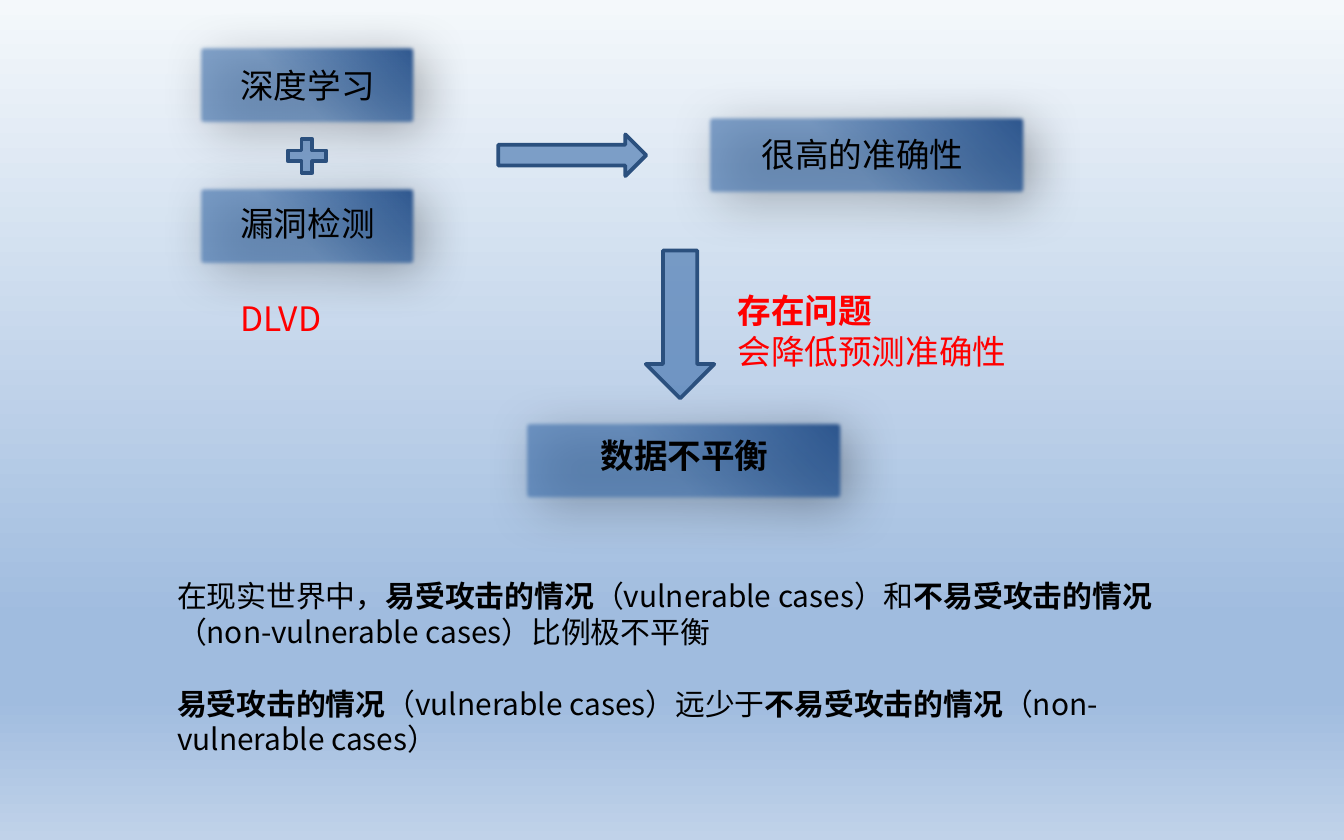
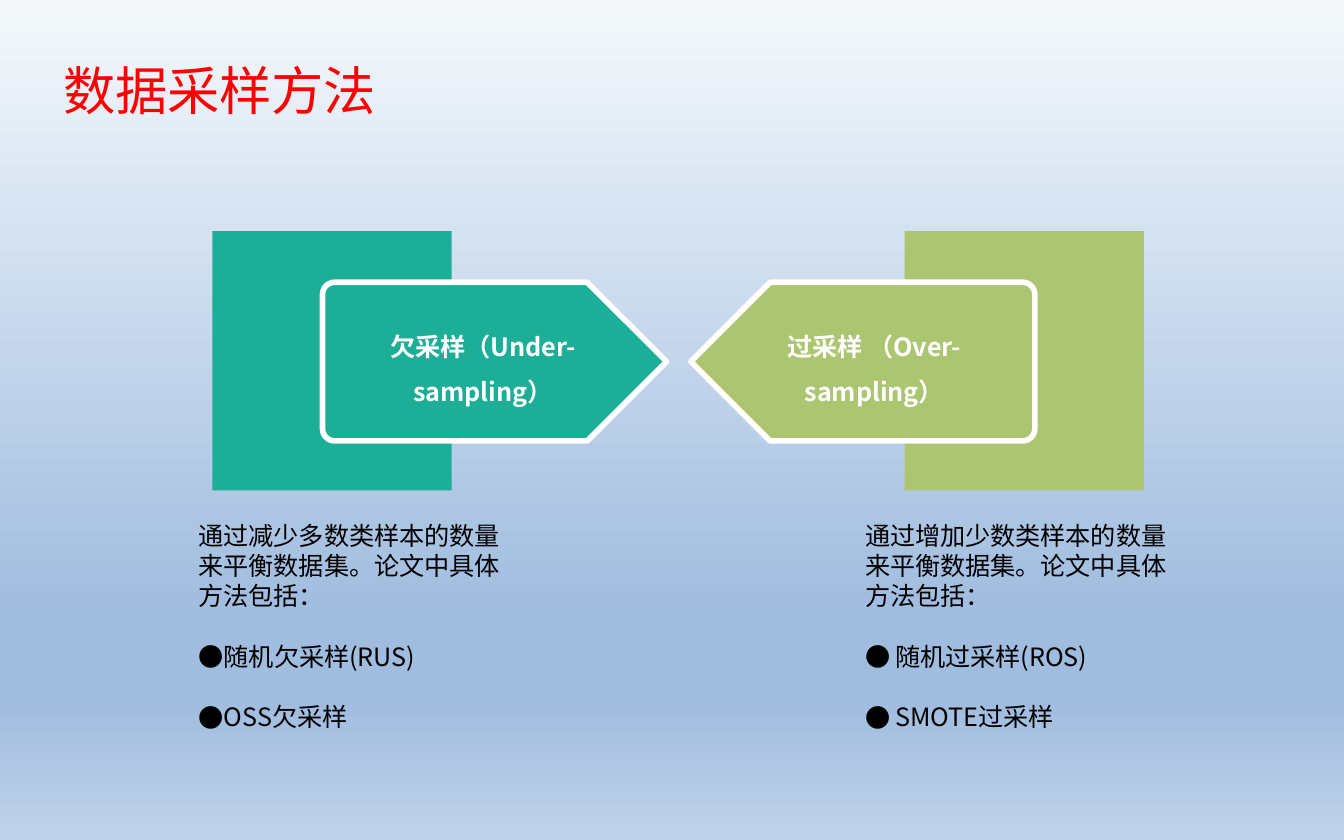
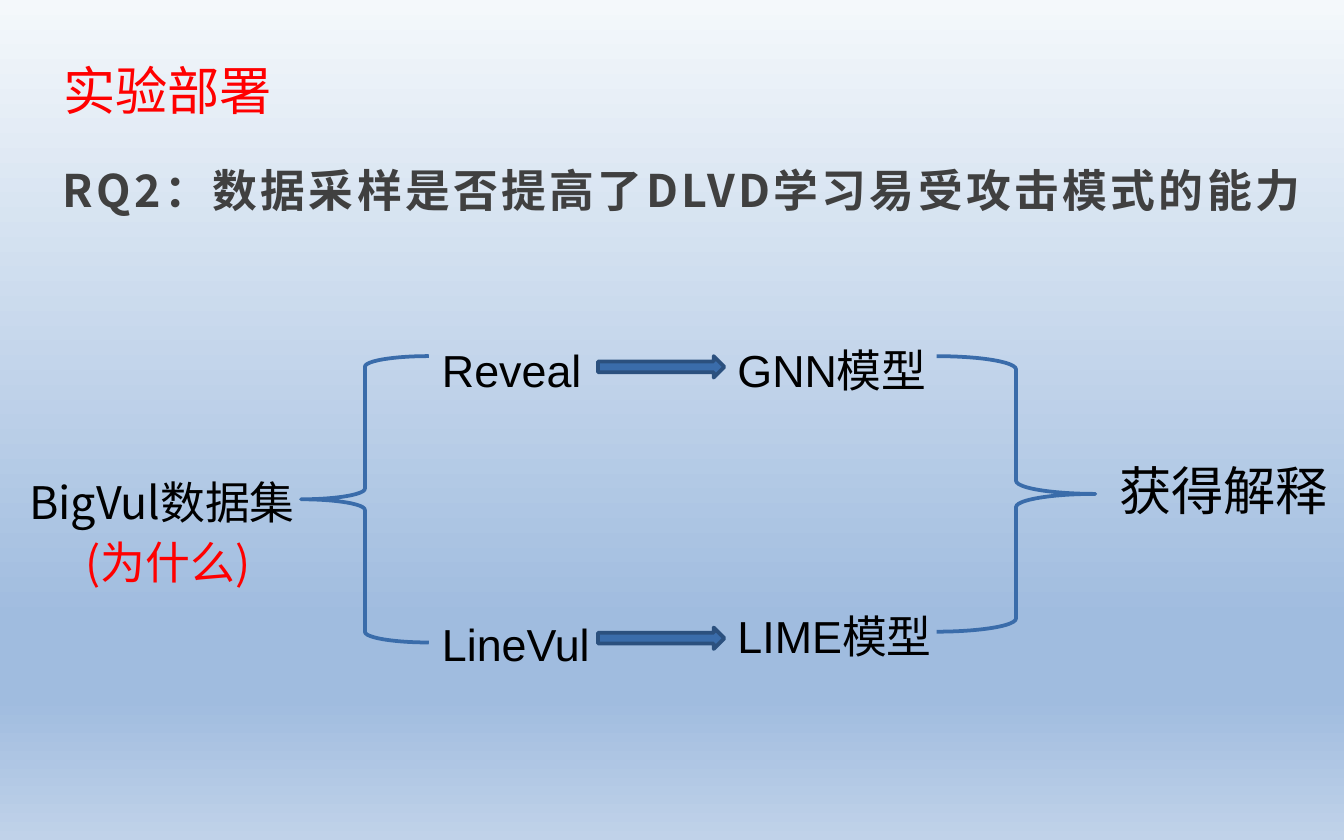
"""Build three slides on data sampling for vulnerability detection."""
import math

import lxml.etree
import pptx
import pptx.dml.color
import pptx.enum.shapes
import pptx.enum.text
import pptx.oxml
import pptx.oxml.ns
import pptx.util

Pt = pptx.util.Pt
qn = pptx.oxml.ns.qn
SHAPE = pptx.enum.shapes.MSO_SHAPE
ALIGN = pptx.enum.text.PP_ALIGN
ANCHOR = pptx.enum.text.MSO_ANCHOR
SubElement = lxml.etree.SubElement

COLORS = {
    "black": "000000", "white": "FFFFFF", "red": "FF0000", "gray": "404040",
    "blue": "3A6CAA", "navy": "29528A", "edge": "2B507E",
    "teal": "1CAE97", "green": "ACC571",
    "sky_top": "F4F8FB", "sky": "A0BCDF", "sky_end": "C0D2E9",
}
RGB = {k: pptx.dml.color.RGBColor.from_string(v) for k, v in COLORS.items()}
SANS = "Noto Sans CJK SC"
NS = 'xmlns:a="http://schemas.openxmlformats.org/drawingml/2006/main"'
STOP = '<a:gs pos="{}"><a:srgbClr val="{}"><a:alpha val="{}"/></a:srgbClr></a:gs>'
CARD_STOPS = [(44, "blue", 60), (100, "navy", 100)]
SKY_STOPS = [(0, "sky_top", 100), (74, "sky", 100), (83, "sky", 100), (100, "sky_end", 100)]
CARD_EFFECT = (
    f'<a:effectLst {NS}><a:outerShdw blurRad="{Pt(28)}" dist="{Pt(7)}" dir="2700000">'
    f'<a:srgbClr val="{COLORS["black"]}"><a:alpha val="40000"/></a:srgbClr></a:outerShdw>'
    f'<a:softEdge rad="{Pt(2.5)}"/></a:effectLst>'
)


def write(sp, box, paras, size, color="black", font=SANS, align=ALIGN.LEFT,
          anchor=ANCHOR.TOP, gap=0, indent=0, **para_fmt):
    """Place a shape and write paragraphs, with ** around bold parts."""
    for name, v in zip(("left", "top", "width", "height"), box):
        setattr(sp, name, Pt(v))
    tf = sp.text_frame
    fmt = {"word_wrap": True, "auto_size": pptx.enum.text.MSO_AUTO_SIZE.NONE,
           "vertical_anchor": anchor}
    for name, v in fmt.items():
        setattr(tf, name, v)
    for i, text in enumerate(paras):
        p = tf.add_paragraph() if i else tf.paragraphs[0]
        if text.startswith("●"):
            pPr = p._p.get_or_add_pPr()
            pPr.set("marL", str(Pt(indent)))
            pPr.set("indent", str(-Pt(indent)))
            SubElement(pPr, qn("a:buFont")).set("typeface", font)
            SubElement(pPr, qn("a:buChar")).set("char", "●")
        p.alignment = align
        if i:
            p.space_before = Pt(gap)
        for name, v in para_fmt.items():
            setattr(p, name, v)
        for j, part in enumerate(text.lstrip("●").split("**")):
            if part:
                r = p.add_run()
                r.text = part
                for name, v in {"size": Pt(size), "name": font, "bold": j % 2 == 1}.items():
                    setattr(r.font, name, v)
                r.font.color.rgb = RGB[color]
                SubElement(r._r.get_or_add_rPr(), qn("a:ea")).set("typeface", SANS)
    return sp


def paint(sp, fill=None, alpha=100, line=None, width=2):
    """Give a shape a flat fill, an outline and no shadow."""
    sp.shadow.inherit = False
    if fill:
        sp.fill.solid()
        sp.fill.fore_color.rgb = RGB[fill]
        clr = sp._element.spPr.xpath("./a:solidFill/a:srgbClr")[0]
        if alpha < 100:
            SubElement(clr, qn("a:alpha")).set("val", str(alpha * 1000))
    else:
        sp.fill.background()
    if line:
        sp.line.color.rgb = RGB[line]
        sp.line.width = Pt(width)
    else:
        sp.line.fill.background()
    return sp


prs = pptx.Presentation()
prs.slide_width, prs.slide_height = Pt(720), Pt(450)
title_only, blank = prs.slide_layouts[5], prs.slide_layouts[6]
master = prs.slide_master
gradients = [(master.background.fill, master.element, 270, SKY_STOPS)]

s = prs.slides.add_slide(blank)
cards = [
    ((105, 23, 119, 45.4), (121.7, 31, 96.5, 28.8), "深度学习"),
    ((105, 98.6, 119, 45.4), (121.7, 105, 96.5, 28.8), "漏洞检测"),
    ((377.3, 60.5, 173.5, 45.4), (401, 68.4, 130.3, 28.8), "很高的准确性"),
    ((279.4, 224, 173.5, 45.4), (314.6, 229.7, 110.9, 28.8), "**数据不平衡**"),
]
for box, text_box, text in cards:
    sp = paint(s.shapes.add_shape(SHAPE.RECTANGLE, *map(Pt, box)))
    gradients.append((sp.fill, sp._element.spPr, 45, CARD_STOPS))
    spPr = sp._element.spPr
    spPr.replace(spPr.find(qn("a:effectLst")), pptx.oxml.parse_xml(CARD_EFFECT))
    write(s.shapes.add_textbox(0, 0, 0, 0), text_box, [text], 18)

for kind, box, turn in [
    (SHAPE.RIGHT_ARROW, (267, 72, 79.2, 22.3), 0),
    (SHAPE.MATH_PLUS, (150.5, 71.3, 28, 24.5), 0),
    (SHAPE.RIGHT_ARROW, (324.7, 155.5, 79.2, 36.7), 90),
]:
    sp = paint(s.shapes.add_shape(kind, *map(Pt, box)), "blue", 60, "edge")
    sp.rotation = turn

for box, paras, fmt in [
    ((87.8, 306, 566.6, 104.4), [
        "在现实世界中，**易受攻击的情况**（vulnerable cases）和**不易受攻击的情况**"
        "（non-vulnerable cases）比例极不平衡",
        "**易受攻击的情况**（vulnerable cases）远少于**不易受攻击的情况**"
        "（non-vulnerable cases）"], {"size": 16, "gap": 19.2}),
    ((388, 152, 167, 51), ["**存在问题**", "会降低预测准确性"], {"size": 18, "color": "red"}),
    ((121.7, 156.2, 108, 28.8), ["DLVD"], {"size": 18, "color": "red"}),
]:
    write(s.shapes.add_textbox(0, 0, 0, 0), box, paras, **fmt)

for fill, root, angle, stops in gradients:
    fill.gradient()
    fill.gradient_angle = angle
    gsLst = root.xpath(".//a:gsLst")[0]
    new = "".join(STOP.format(pos * 1000, COLORS[c], a * 1000) for pos, c, a in stops)
    gsLst.getparent().replace(gsLst, pptx.oxml.parse_xml(f"<a:gsLst {NS}>{new}</a:gsLst>"))

s = prs.slides.add_slide(title_only)
write(s.shapes.title, (26.6, 27.4, 190.8, 41), ["数据采样方法"], 28, "red")
center, left, top, bottom, radius = 363.6, 172.8, 151.2, 236.2, 6.5
arc = [math.radians(a) for a in range(0, 91, 15)]
outline = [(314.6, top), (357.1, (top + bottom) / 2), (314.6, bottom)]
outline += [(left + radius * (1 - math.sin(a)), bottom - radius * (1 - math.cos(a))) for a in arc]
outline += [(left + radius * (1 - math.cos(a)), top + radius * (1 - math.sin(a))) for a in arc]
methods = [
    ("teal", 1, 113.8, "**欠采样（Under-sampling）**", (5, 17.3), (99.4, 275, 184.3, 138.2), 13.5,
     ["通过减少多数类样本的数量来平衡数据集。论文中具体方法包括：", "●随机欠采样(RUS)", "●OSS欠采样"]),
    ("green", -1, 484.6, "**过采样 （Over-sampling）**", (17.3, 5), (456.5, 275, 179.3, 121.7), 16,
     ["通过增加少数类样本的数量来平衡数据集。论文中具体方法包括：", "●随机过采样(ROS)", "●SMOTE过采样"]),
]
for color, side, x, label, insets, box, indent, paras in methods:
    paint(s.shapes.add_shape(SHAPE.RECTANGLE, *map(Pt, (x, 123.8, 128.2, 139))), color)
    points = [(Pt(center + side * (px - center)), Pt(py)) for px, py in outline]
    fb = s.shapes.build_freeform(*points[0])
    fb.add_line_segments(points[1:], close=True)
    sp = paint(fb.convert_to_shape(), color, line="white", width=3)
    tf = sp.text_frame
    for name, v in zip(("left", "right", "top", "bottom"), (*insets, 2.9, 2.9)):
        setattr(tf, f"margin_{name}", Pt(v))
    write(sp, (), [label], 13.5, "white", align=ALIGN.CENTER, anchor=ANCHOR.MIDDLE,
          line_spacing=1.5)
    write(s.shapes.add_textbox(0, 0, 0, 0), box, paras, 13.5, gap=16.2, indent=indent)

s = prs.slides.add_slide(title_only)
write(s.shapes.title, (26.6, 27.4, 218.9, 41), ["实验部署"], 28, "red")
sp = write(s.shapes.add_textbox(0, 0, 0, 0), (26.6, 77.8, 716.4, 41.8),
           ["**RQ2：数据采样是否提高了DLVD学习易受攻击模式的能力**"], 24, "gray",
           line_spacing=1.2, space_after=Pt(8))
sp.text_frame.paragraphs[0].runs[0]._r.get_or_add_rPr().set("spc", "180")

for kind, box in [(SHAPE.LEFT_BRACE, (161.3, 190.8, 68.4, 153.4)),
                  (SHAPE.RIGHT_BRACE, (501.8, 190.8, 85, 147.6))]:
    paint(s.shapes.add_shape(kind, *map(Pt, box)), line="blue")
for y in (190.8, 336.2):
    paint(s.shapes.add_shape(SHAPE.RIGHT_ARROW, *map(Pt, (320.4, y, 67.7, 11.5))),
          "blue", line="edge")
for box, text, fmt in [
    ((8.6, 250.6, 175, 36), "BigVul数据集", {}),
    ((25.2, 283, 129.6, 36), "(为什么)", {"color": "red", "align": ALIGN.CENTER}),
    ((229.7, 180, 360, 36), "Reveal", {"font": "Arial"}),
    ((229.7, 326.9, 360, 36), "LineVul", {"font": "Arial"}),
    ((388, 180, 360, 36), "GNN模型", {"font": "Arial"}),
    ((388, 322.6, 360, 36), "LIME模型", {"font": "Arial"}),
    ((592.6, 242, 152, 41), "获得解释", {"size": 28}),
]:
    write(s.shapes.add_textbox(0, 0, 0, 0), box, [text], **{"size": 24, **fmt})

prs.save("out.pptx")
